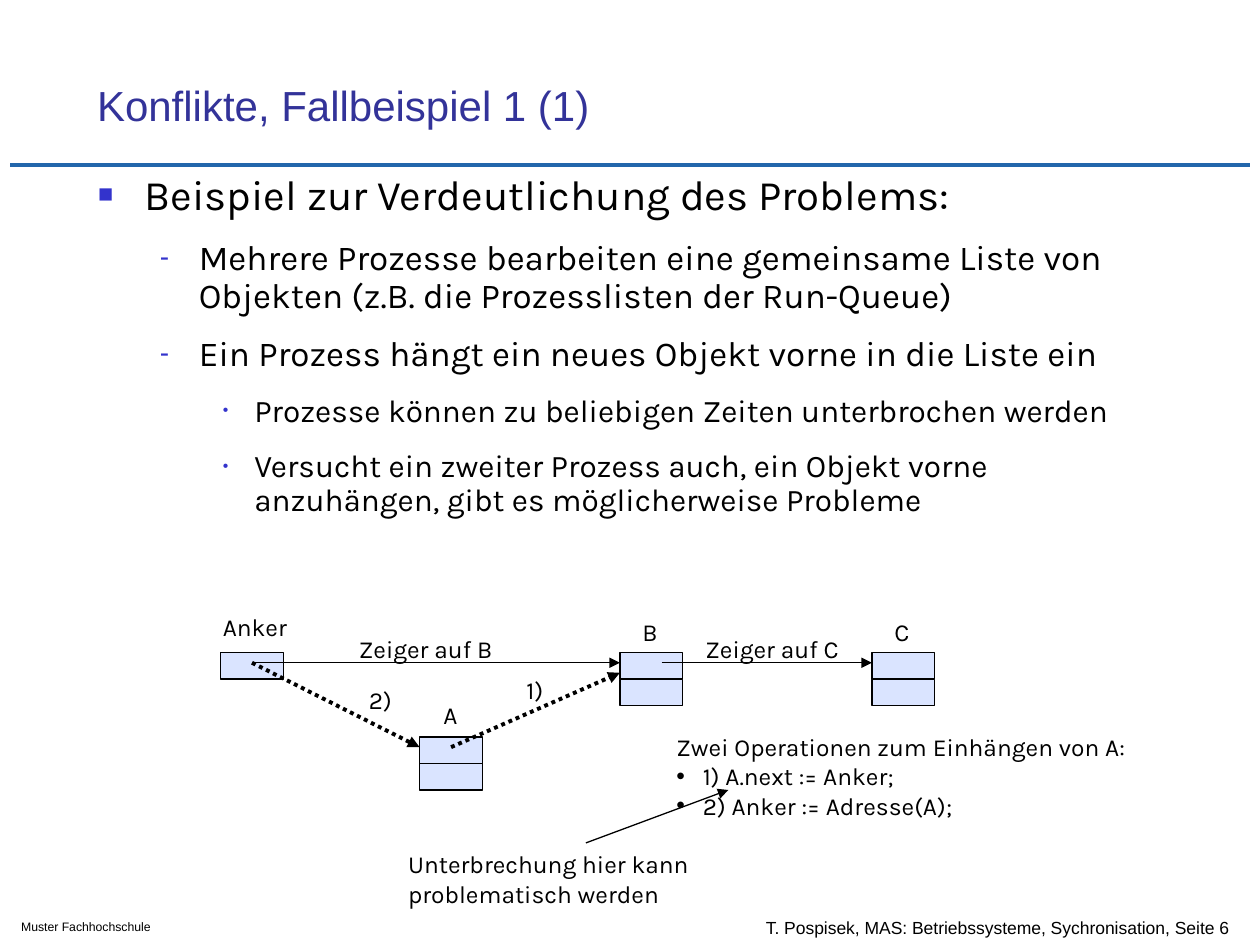
from typing import NamedTuple, Optional

from lxml.etree import SubElement
from pptx import Presentation
from pptx.dml.color import RGBColor
from pptx.enum.dml import MSO_LINE
from pptx.enum.shapes import MSO_CONNECTOR, MSO_SHAPE
from pptx.enum.text import MSO_ANCHOR, PP_ALIGN
from pptx.oxml.ns import qn
from pptx.util import Inches, Pt

BLACK, TITLE_BLUE, BULLET_BLUE = "000000", "333399", "3333CC"
RULE_BLUE, CELL_BLUE = "2266AB", "DAE4FF"
CELL_W, CELL_H = 0.5, 0.21


class Bullet(NamedTuple):
    char: str
    color: str
    percent: int


class Para(NamedTuple):
    text: str
    size: float = 14
    margin: float = 0
    indent: float = 0
    before: float = 0
    spacing: float = 1
    bullet: Optional[Bullet] = None
    level: int = 0


class Label(NamedTuple):
    left: float
    top: float
    width: float
    text: str


class Node(NamedTuple):
    left: float
    top: float
    cells: int


class Arrow(NamedTuple):
    x1: float
    y1: float
    x2: float
    y2: float
    dotted: bool = False


def rgb(color: str) -> RGBColor:
    return RGBColor.from_string(color)


def style_runs(p, size: float, font: str, color: str) -> None:
    for r in p.runs:
        r.font.size = Pt(size)
        r.font.name = font
        r.font.color.rgb = rgb(color)


def format_para(p, para: Para, font: str) -> None:
    p.text = para.text
    p.level = para.level
    p.line_spacing = para.spacing
    p.space_before = Pt(para.before)
    style_runs(p, para.size, font, BLACK)
    pPr = p._p.get_or_add_pPr()
    pPr.set("marL", str(Inches(para.margin)))
    pPr.set("indent", str(Inches(para.indent)))
    if para.bullet:
        clr = SubElement(pPr, qn("a:buClr"))
        SubElement(clr, qn("a:srgbClr"), val=para.bullet.color)
        SubElement(pPr, qn("a:buSzPct"), val=str(para.bullet.percent * 1000))
        SubElement(pPr, qn("a:buFont"), typeface="Arial")
        SubElement(pPr, qn("a:buChar"), char=para.bullet.char)


def add_text(s, left: float, top: float, width: float, height: float,
             paras: list[Para], font: str = "Karla"):
    tf = s.shapes.add_textbox(Inches(left), Inches(top),
                              Inches(width), Inches(height)).text_frame
    tf.word_wrap = True
    for i, para in enumerate(paras):
        format_para(tf.add_paragraph() if i else tf.paragraphs[0], para, font)
    return tf


def add_line(s, arrow: Arrow, width: float, color: str = BLACK,
             head: bool = True) -> None:
    line = s.shapes.add_connector(
        MSO_CONNECTOR.STRAIGHT, Inches(arrow.x1), Inches(arrow.y1),
        Inches(arrow.x2), Inches(arrow.y2))
    line.line.color.rgb = rgb(color)
    line.line.width = Pt(width)
    if arrow.dotted:
        line.line.dash_style = MSO_LINE.ROUND_DOT
    if head:
        SubElement(line.line._get_or_add_ln(), qn("a:tailEnd"), type="triangle")
    SubElement(line._element.spPr, qn("a:effectLst"))


def add_node(s, node: Node) -> None:
    for i in range(node.cells):
        sp = s.shapes.add_shape(
            MSO_SHAPE.RECTANGLE, Inches(node.left), Inches(node.top + i * CELL_H),
            Inches(CELL_W), Inches(CELL_H))
        sp.shadow.inherit = False
        sp.fill.solid()
        sp.fill.fore_color.rgb = rgb(CELL_BLUE)
        sp.line.color.rgb = rgb(BLACK)
        sp.line.width = Pt(0.75)


SQUARE = Bullet("■", BULLET_BLUE, 60)
DASH = Bullet("-", BULLET_BLUE, 80)
DOT = Bullet("•", BULLET_BLUE, 50)
BLACK_DOT = Bullet("•", BLACK, 100)


def topic(text: str) -> Para:
    return Para(text, 24, 0.38, -0.37, 4.8, 0.9, SQUARE)


def point(text: str) -> Para:
    return Para(text, 20, 0.81, -0.31, 12, 0.9, DASH, 1)


def detail(text: str) -> Para:
    return Para(text, 18, 1.25, -0.25, 12, 0.9, DOT, 2)


def operation(text: str) -> Para:
    return Para(text, margin=0.21, indent=-0.21, bullet=BLACK_DOT)


BODY = [
    topic("Beispiel zur Verdeutlichung des Problems:"),
    point("Mehrere Prozesse bearbeiten eine gemeinsame Liste von Objekten "
          "(z.B. die Prozesslisten der Run-Queue)"),
    point("Ein Prozess hängt ein neues Objekt vorne in die Liste ein"),
    detail("Prozesse können zu beliebigen Zeiten unterbrochen werden"),
    detail("Versucht ein zweiter Prozess auch, ein Objekt vorne anzuhängen, "
           "gibt es möglicherweise Probleme"),
]
NODES = [Node(4.92, 5.18, 2), Node(6.92, 5.18, 2), Node(3.33, 5.85, 2),
         Node(1.75, 5.18, 1)]
ARROWS = [
    Arrow(5.25, 5.26, 6.92, 5.26),
    Arrow(2, 5.26, 4.92, 5.26),
    Arrow(2, 5.26, 3.33, 5.93, dotted=True),
    Arrow(3.58, 5.93, 4.92, 5.34, dotted=True),
    Arrow(4.65, 6.69, 5.78, 6.27),
]
LABELS = [
    Label(1.67, 4.81, 0.83, "Anker"),
    Label(2.75, 4.98, 1.42, "Zeiger auf B"),
    Label(5.5, 4.98, 1.42, "Zeiger auf C"),
    Label(3.42, 5.51, 0.33, "A"),
    Label(5, 4.85, 0.25, "B"),
    Label(7, 4.85, 0.25, "C"),
    Label(4.08, 5.31, 0.42, "1)"),
    Label(2.83, 5.39, 0.42, "2)"),
]


def main() -> None:
    prs = Presentation()
    prs.slide_width, prs.slide_height = Inches(10), Inches(7.5)
    s = prs.slides.add_slide(prs.slide_layouts[5])

    # Title and rule
    title = s.shapes.title
    title.left, title.top = Inches(0.67), Inches(0.33)
    title.width, title.height = Inches(8.52), Inches(0.75)
    tf = title.text_frame
    tf.text = "Konflikte, Fallbeispiel 1 (1)"
    tf.vertical_anchor = MSO_ANCHOR.BOTTOM
    tf.paragraphs[0].alignment = PP_ALIGN.LEFT
    style_runs(tf.paragraphs[0], 24, "Arial", TITLE_BLUE)
    add_line(s, Arrow(0.08, 1.31, 9.92, 1.31), 2.5, RULE_BLUE, head=False)

    # Footer
    footer = add_text(s, 5.98, 7.2, 4.9, 0.33, [Para(
        "T. Pospisek, MAS: Betriebssysteme, Sychronisation, Seite 6", 10)], "Arial")
    footer.vertical_anchor = MSO_ANCHOR.MIDDLE
    add_text(s, 0.07, 7.25, 1.72, 0.22, [Para("Muster Fachhochschule", 7)], "Arial")

    # Bulleted text
    add_text(s, 0.67, 1.33, 8.5, 2.73, BODY)

    # Linked list diagram
    for node in NODES:
        add_node(s, node)
    for arrow in ARROWS:
        add_line(s, arrow, 2.25 if arrow.dotted else 0.75)
    for label in LABELS:
        add_text(s, label.left, label.top, label.width, 0.33, [Para(label.text)])

    # Explanations
    add_text(s, 5.27, 5.76, 4.34, 1.03, [
        Para("Zwei Operationen zum Einhängen von A:"),
        operation("1) A.next := Anker;"), operation("2) Anker := Adresse(A);")])
    add_text(s, 3.14, 6.69, 2.57, 0.57, [
        Para("Unterbrechung hier kann"), Para("problematisch werden")])

    prs.save("out.pptx")


if __name__ == "__main__":
    main()
